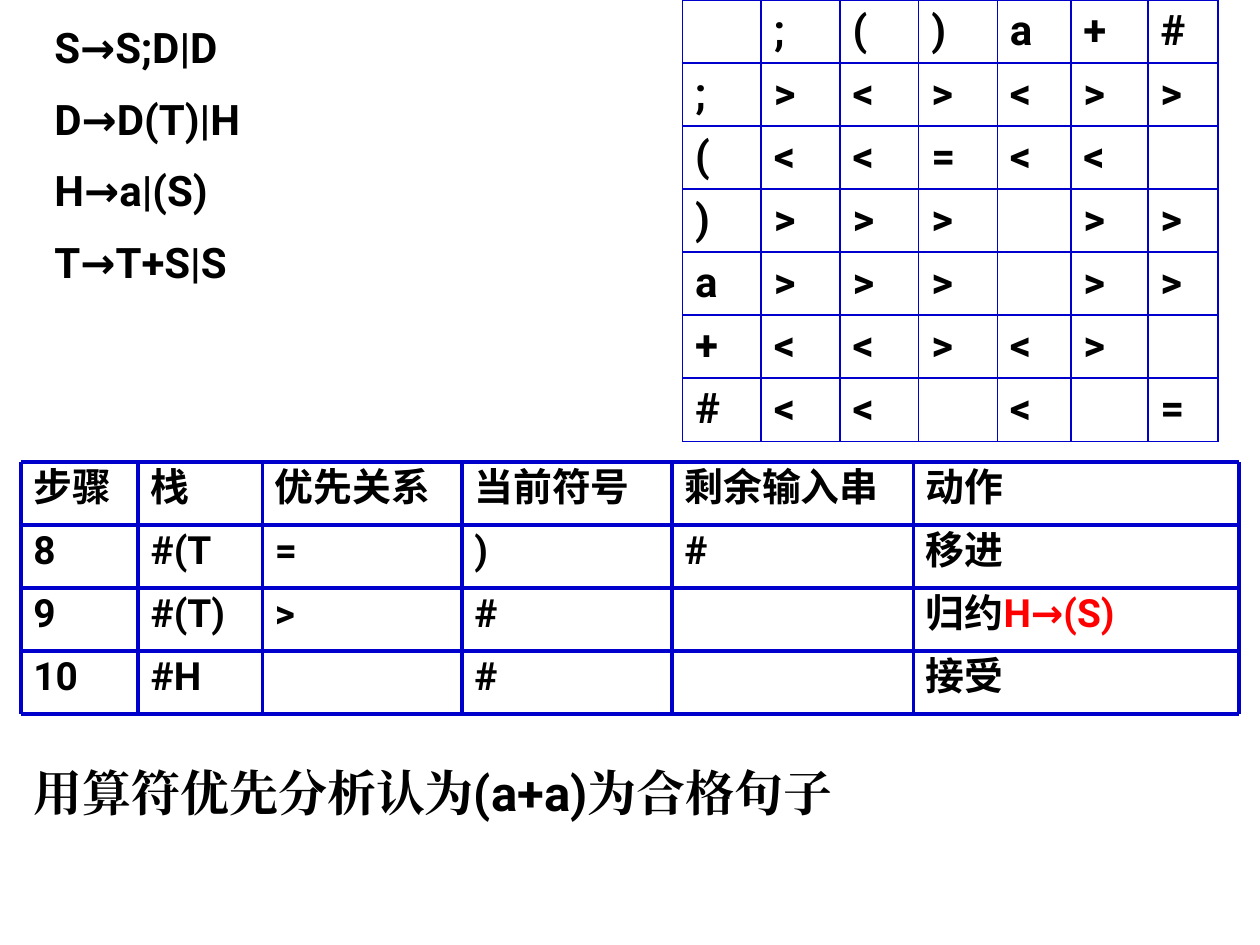
from itertools import accumulate

from lxml.etree import SubElement
from pptx import Presentation
from pptx.dml.color import RGBColor
from pptx.enum.shapes import MSO_CONNECTOR as Connector
from pptx.enum.text import MSO_AUTO_SIZE as AutoSize
from pptx.oxml import parse_xml
from pptx.oxml.ns import nsdecls, qn
from pptx.util import Pt

BLACK = RGBColor(0x00, 0x00, 0x00)
WHITE = RGBColor(0xFF, 0xFF, 0xFF)
RED = RGBColor(0xFF, 0x00, 0x00)
BLUE = RGBColor(0x00, 0x00, 0xCC)
ROW_HEIGHT = 36


def add_text(paragraph, text, size=24, font="Roboto", color=BLACK, before=6, spacing=1.0):
    paragraph.space_before = Pt(before)
    paragraph.line_spacing = spacing
    run = paragraph.add_run()
    run.text = text
    run.font.name = font
    run.font.size = Pt(size)
    run.font.bold = True
    run.font.color.rgb = color
    SubElement(run.font._element, qn("a:ea")).set("typeface", font)


def add_box(left, top, width, height):
    frame = slide.shapes.add_textbox(Pt(left), Pt(top), Pt(width), Pt(height)).text_frame
    frame.word_wrap = True
    return frame


presentation = Presentation()
presentation.slide_width, presentation.slide_height = Pt(720), Pt(540)
slide = presentation.slides.add_slide(presentation.slide_layouts[1])
title = slide.shapes.title
title.element.getparent().remove(title.element)

# Conclusion in the body placeholder
body = slide.placeholders[1]
body.left, body.top, body.width, body.height = Pt(12), Pt(432), Pt(690), Pt(84)
body.text_frame.auto_size = AutoSize.NONE
conclusion = body.text_frame.paragraphs[0]
for text, font in (("用算符优先分析认为", "Times New Roman"), ("(a+a)", "Roboto"),
                   ("为合格句子", "Times New Roman")):
    add_text(conclusion, text, size=28, font=font, before=7)
properties = conclusion._p.get_or_add_pPr()
properties.set("marL", str(Pt(27)))
properties.set("indent", str(Pt(-27)))
SubElement(properties, qn("a:buNone"))

# Parsing steps
steps = [
    ("步骤", "栈", "优先关系", "当前符号", "剩余输入串", "动作"),
    ("8", "#(T", "=", ")", "#", "移进"),
    ("9", "#(T)", ">", "#", "", "归约 H→(S)"),
    ("10", "#H", "", "#", "", "接受"),
]
step_widths = [67, 71, 114, 120, 138, 186]
column_edges = list(accumulate(step_widths, initial=12))
row_edges = [264 + ROW_HEIGHT * index for index in range(len(steps) + 1)]
for texts, top in zip(steps, row_edges):
    for text, left, width in zip(texts, column_edges, step_widths):
        if text:
            paragraph = add_box(left, top, width, ROW_HEIGHT).paragraphs[0]
            for part, color in zip(text.split(), (BLACK, RED)):
                add_text(paragraph, part, size=22.2, color=color, spacing=0.9)

# Rules around the parsing steps
left, right, top, bottom = column_edges[0], column_edges[-1], row_edges[0], row_edges[-1]
rules = [(left, y, right, y) for y in row_edges] + [(x, top, x, bottom) for x in column_edges]
for ends in rules:
    line = slide.shapes.add_connector(Connector.STRAIGHT, *(Pt(end) for end in ends))
    line.line.color.rgb = BLUE
    line.line.width = Pt(2.24)
    SubElement(line._element.spPr, qn("a:effectLst"))

# Operator precedence relations, a blank where none holds
symbols = ";()a+#"
relations = ["><><>>", "<<=<< ", ">>> >>", ">>> >>", "<<><> ", "<< < ="]
precedence = [["", *symbols]]
for symbol, signs in zip(symbols, relations):
    precedence.append([symbol, *(sign.strip() for sign in signs)])
widths = [45, 45, 45, 45, 42, 44, 40]
table = slide.shapes.add_table(len(precedence), len(widths), Pt(390), Pt(0), Pt(sum(widths)),
                               Pt(ROW_HEIGHT * len(precedence))).table
table.first_row = table.horz_banding = False
for column, width in zip(table.columns, widths):
    column.width = Pt(width)
for row, texts in zip(table.rows, precedence):
    row.height = Pt(ROW_HEIGHT)
    for cell, text in zip(row.cells, texts):
        cell.fill.solid()
        cell.fill.fore_color.rgb = WHITE
        for index, side in enumerate(("lnL", "lnR", "lnT", "lnB")):
            cell._tc.get_or_add_tcPr().insert(index, parse_xml(
                f'<a:{side} {nsdecls("a")} w="{Pt(1.08)}"><a:solidFill>'
                f'<a:srgbClr val="{BLUE}"/></a:solidFill></a:{side}>'))
        if text:
            add_text(cell.text_frame.paragraphs[0], text)

# Grammar rules
grammar = add_box(24, 12, 174, 156)
for index, rule in enumerate(("S→S;D|D", "D→D(T)|H", "H→a|(S)", "T→T+S|S")):
    paragraph = grammar.add_paragraph() if index else grammar.paragraphs[0]
    add_text(paragraph, rule, before=15, spacing=0.9)

presentation.save("out.pptx")
